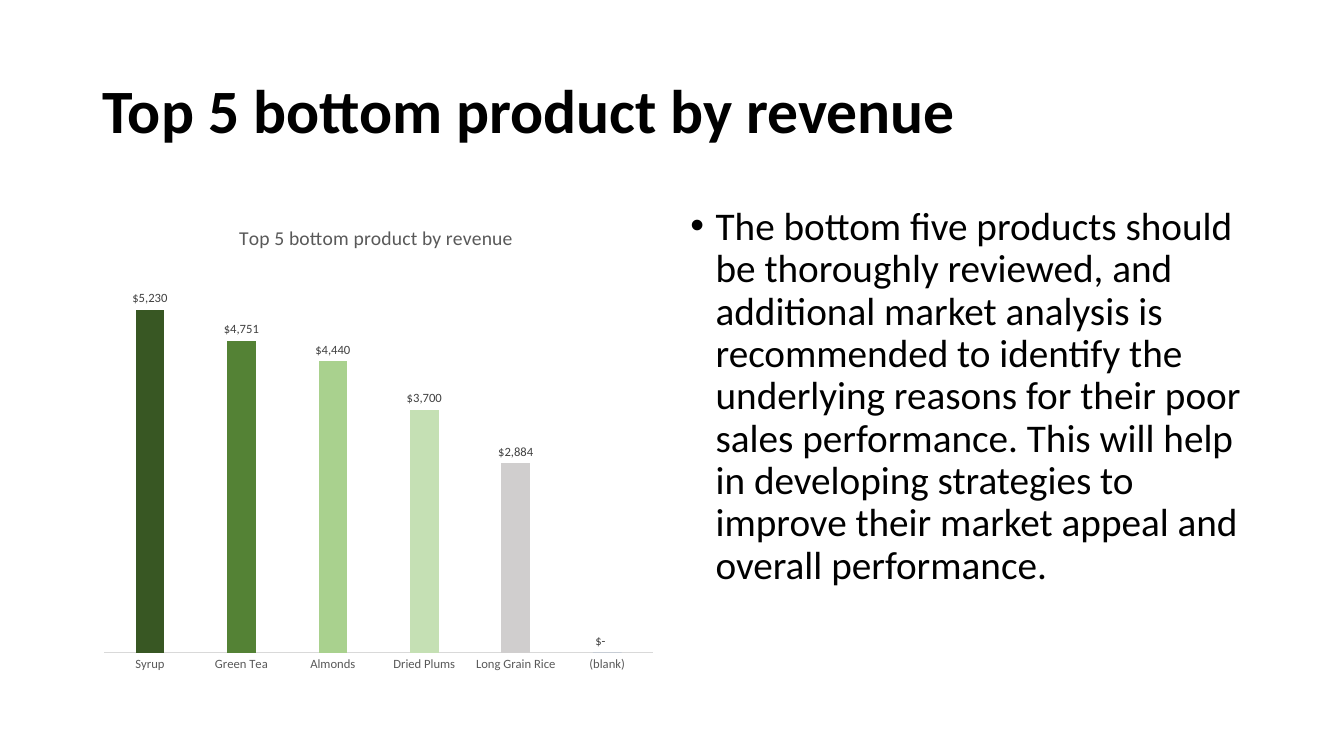
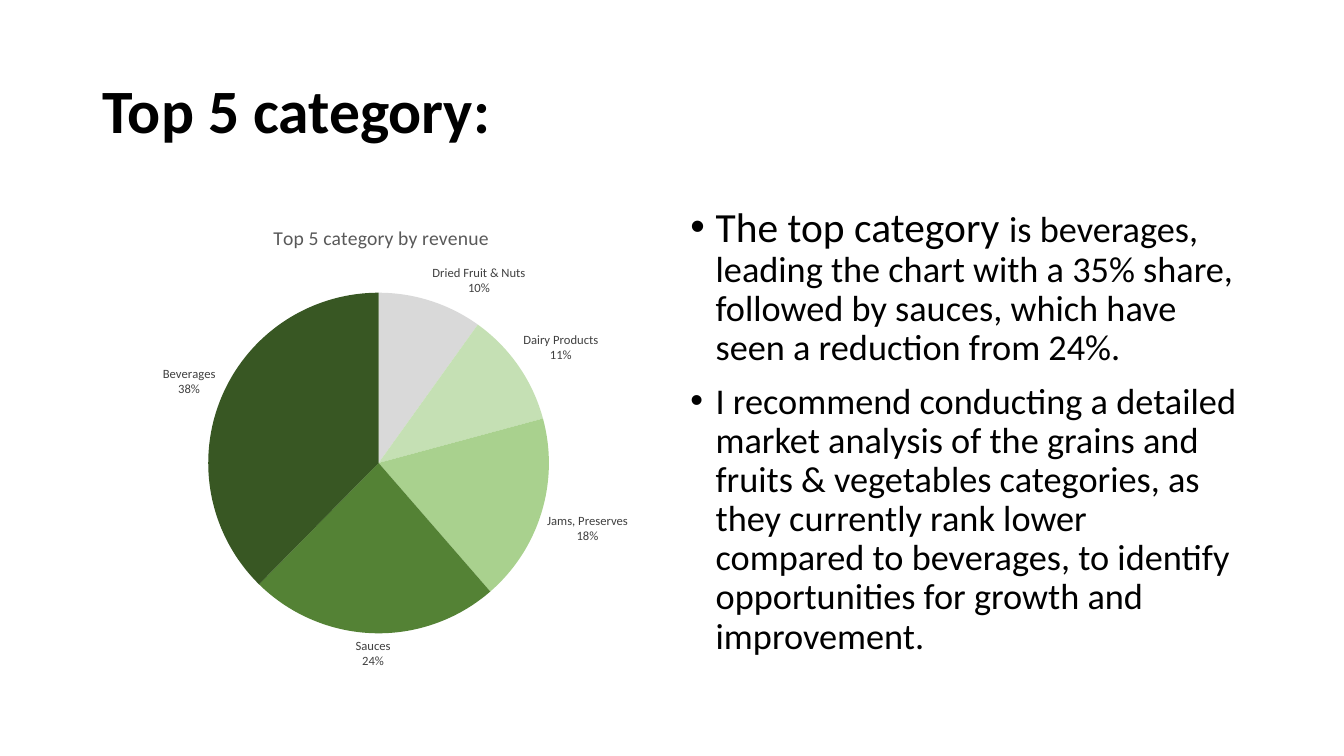
from dataclasses import dataclass

from lxml import etree
from pptx import Presentation
from pptx import util as u
from pptx.chart import data as chart_data
from pptx.dml.color import RGBColor
from pptx.enum import chart as ch
from pptx.enum import text
from pptx.oxml.ns import qn


@dataclass(frozen=True)
class Theme:
    font: str = "Calibri"
    ink: str = "000000"
    muted: str = "595959"
    label: str = "404040"
    rule: str = "D9D9D9"
    silver: str = "D0CECE"
    greens: tuple = ("385723", "548235", "A9D18E", "C5E0B4")
    title_size: float = 44
    body_size: float = 28
    dense_size: float = 25.9
    lead_size: float = 29.6
    chart_title_size: float = 14
    label_size: float = 9


@dataclass(frozen=True)
class Box:
    left: float
    top: float
    width: float
    height: float

    def inches(self):
        return [u.Inches(v) for v in (self.left, self.top, self.width, self.height)]


THEME = Theme()
TITLE_BOX = Box(0.92, 0.4, 11.5, 1.45)
CHART_BOX = Box(0.92, 2, 5.67, 4.76)
BODY_BOX = Box(6.75, 2, 5.67, 4.76)
DOLLARS = r'_("$"* #,##0_);_("$"* \(#,##0\);_("$"* "-"??_);_(@_)'


def apply(target, **values):
    for key, value in values.items():
        setattr(target, key, value)


def style_font(font, size, color, bold=False):
    apply(font, name=THEME.font, size=u.Pt(size), bold=bold)
    font.color.rgb = RGBColor.from_string(color)


def add_title(slide, box, wording):
    title = slide.shapes.title
    apply(title, **dict(zip(("left", "top", "width", "height"), box.inches())))
    apply(title.text_frame, word_wrap=True, vertical_anchor=text.MSO_ANCHOR.MIDDLE)
    paragraph = title.text_frame.paragraphs[0]
    apply(paragraph, alignment=text.PP_ALIGN.LEFT, line_spacing=0.9)
    run = paragraph.add_run()
    run.text = wording
    style_font(run.font, THEME.title_size, THEME.ink, bold=True)


def add_bullets(slide, box, bullets):
    frame = slide.shapes.add_textbox(*box.inches()).text_frame
    frame.word_wrap = True
    for index, runs in enumerate(bullets):
        bullet = frame.add_paragraph() if index else frame.paragraphs[0]
        apply(bullet, line_spacing=0.9, space_before=u.Pt(10))
        properties = bullet._p.get_or_add_pPr()
        properties.set("marL", str(u.Inches(0.25)))
        properties.set("indent", str(-u.Inches(0.25)))
        etree.SubElement(properties, qn("a:buFont")).set("typeface", "Arial")
        etree.SubElement(properties, qn("a:buChar")).set("char", "•")
        for wording, size in runs:
            run = bullet.add_run()
            run.text = wording
            style_font(run.font, size, THEME.ink)


def place(parent, x, y, width=None, height=None, inner=False):
    for old in parent.findall(qn("c:layout")):
        parent.remove(old)
    layout = etree.Element(qn("c:layout"))
    manual = etree.SubElement(layout, qn("c:manualLayout"))
    values = {"layoutTarget": "inner" if inner else None, "xMode": "edge",
              "yMode": "edge", "x": x, "y": y, "w": width, "h": height}
    for key, value in values.items():
        if value is not None:
            etree.SubElement(manual, qn(f"c:{key}")).set("val", str(value))
    if inner:
        parent.insert(0, layout)
    else:
        parent.find(qn("c:tx")).addnext(layout)


def add_chart(slide, box, kind, heading, heading_at, plot_at, points, colors, number_format):
    source = chart_data.CategoryChartData(number_format=number_format)
    source.categories = list(points)
    source.add_series("Series 1", list(points.values()))
    chart = slide.shapes.add_chart(kind, *box.inches(), source).chart
    style_font(chart.font, 10, THEME.ink)
    apply(chart, has_legend=False, has_title=True)

    run = chart.chart_title.text_frame.paragraphs[0].add_run()
    run.text = heading
    style_font(run.font, THEME.chart_title_size, THEME.muted)
    chart.chart_title.include_in_layout = False
    place(chart.chart_title._element, *heading_at)
    place(chart._chartSpace.chart.plotArea, *plot_at, inner=True)

    plot = chart.plots[0]
    apply(plot, vary_by_categories=False, has_data_labels=True)
    apply(plot.data_labels, show_value=True, number_format=number_format,
          number_format_is_linked=False, position=ch.XL_LABEL_POSITION.OUTSIDE_END)
    style_font(plot.data_labels.font, THEME.label_size, THEME.label)
    for index, color in enumerate(colors):
        form = plot.series[0].points[index].format
        form.fill.solid()
        form.fill.fore_color.rgb = RGBColor.from_string(color)
        form.line.fill.background()
    return chart


def add_product_chart(slide, box):
    revenue = {"Syrup": 5230, "Green Tea": 4751, "Almonds": 4440,
               "Dried Plums": 3700, "Long Grain Rice": 2884, "(blank)": 0}
    chart = add_chart(slide, box, ch.XL_CHART_TYPE.COLUMN_CLUSTERED,
                      "Top 5 bottom product by revenue", (0.25, 0.04),
                      (0.02, 0.12, 0.96, 0.82), revenue,
                      (*THEME.greens, THEME.silver), DOLLARS)
    apply(chart.plots[0], gap_width=219, overlap=-27)
    apply(chart.value_axis, visible=False, has_major_gridlines=False,
          minimum_scale=0, maximum_scale=6000)
    products = chart.category_axis
    apply(products, major_tick_mark=ch.XL_TICK_MARK.NONE,
          minor_tick_mark=ch.XL_TICK_MARK.NONE)
    style_font(products.tick_labels.font, THEME.label_size, THEME.muted)
    products.format.line.color.rgb = RGBColor.from_string(THEME.rule)
    products.format.line.width = u.Pt(0.75)


def add_category_chart(slide, box):
    share = {"Dried Fruit & Nuts": 10, "Dairy Products": 11,
             "Jams, Preserves": 18, "Sauces": 24, "Beverages": 38}
    chart = add_chart(slide, box, ch.XL_CHART_TYPE.PIE,
                      "Top 5 category by revenue", (0.31, 0.04),
                      (0.2, 0.19, 0.6, 0.71), share,
                      (THEME.rule, *reversed(THEME.greens)), "0%")
    labels = chart.plots[0].data_labels
    apply(labels, show_value=False, show_percentage=True, show_category_name=True)
    separator = etree.Element(qn("c:separator"))
    separator.text = "\n"
    labels._element.find(qn("c:showBubbleSize")).addnext(separator)


def add_chart_slide(deck, title, draw_chart, bullets):
    slide = deck.slides.add_slide(deck.slide_layouts[5])
    add_title(slide, TITLE_BOX, title)
    add_bullets(slide, BODY_BOX, bullets)
    draw_chart(slide, CHART_BOX)


def main():
    deck = Presentation()
    apply(deck, slide_width=u.Inches(13.33), slide_height=u.Inches(7.5))
    add_chart_slide(deck, "Top 5 bottom product by revenue", add_product_chart, [
        [("The bottom five products should be thoroughly reviewed, and additional "
          "market analysis is recommended to identify the underlying reasons for "
          "their poor sales performance. This will help in developing strategies to "
          "improve their market appeal and overall performance.", THEME.body_size)],
    ])
    add_chart_slide(deck, "Top 5 category:", add_category_chart, [
        [("The top category ", THEME.lead_size),
         ("is beverages, leading the chart with a 35% share, followed by sauces, "
          "which have seen a reduction from 24%.", THEME.dense_size)],
        [("I recommend conducting a detailed market analysis of the grains and "
          "fruits & vegetables categories, as they currently rank lower compared to "
          "beverages, to identify opportunities for growth and improvement.",
          THEME.dense_size)],
    ])
    deck.save("out.pptx")


if __name__ == "__main__":
    main()
